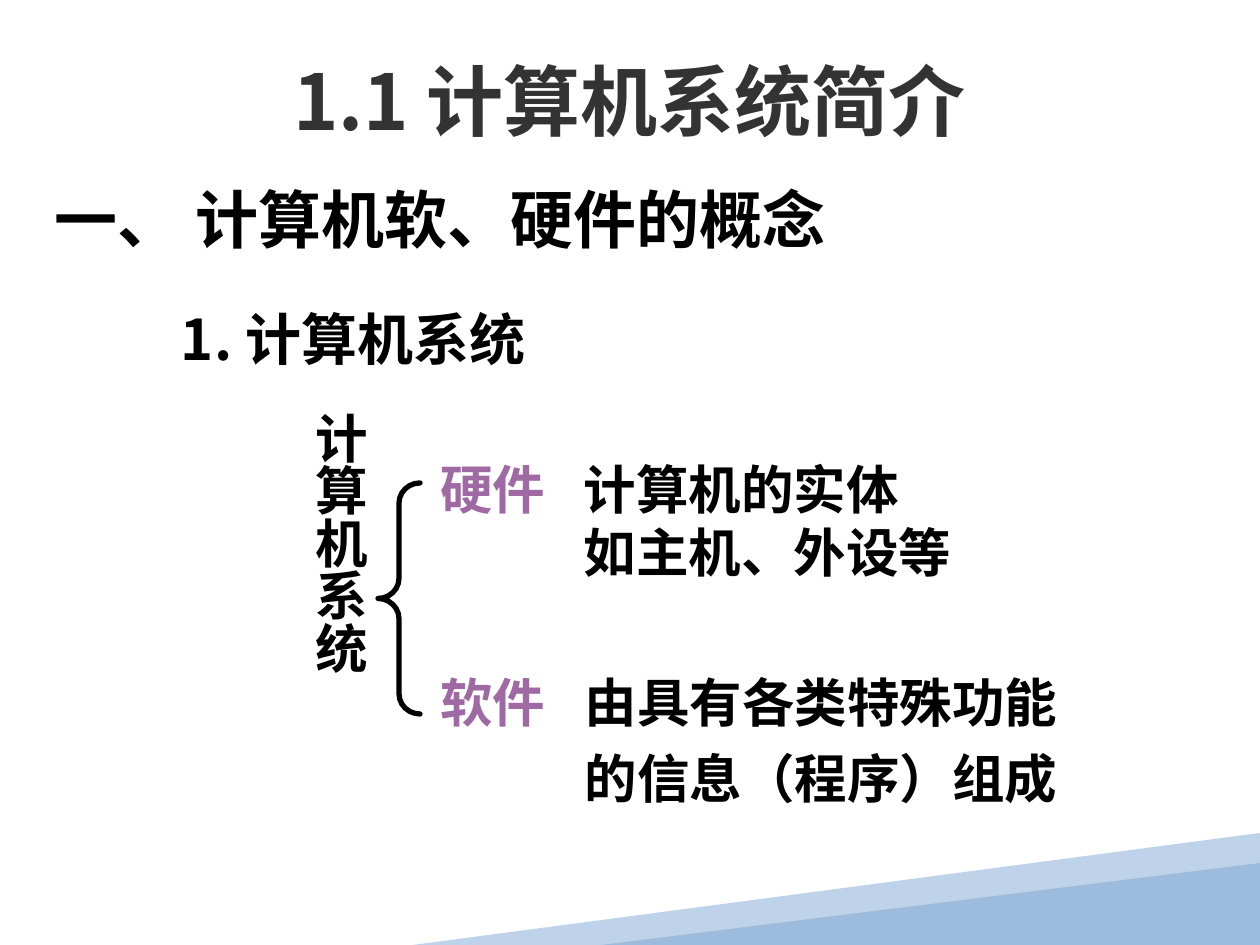
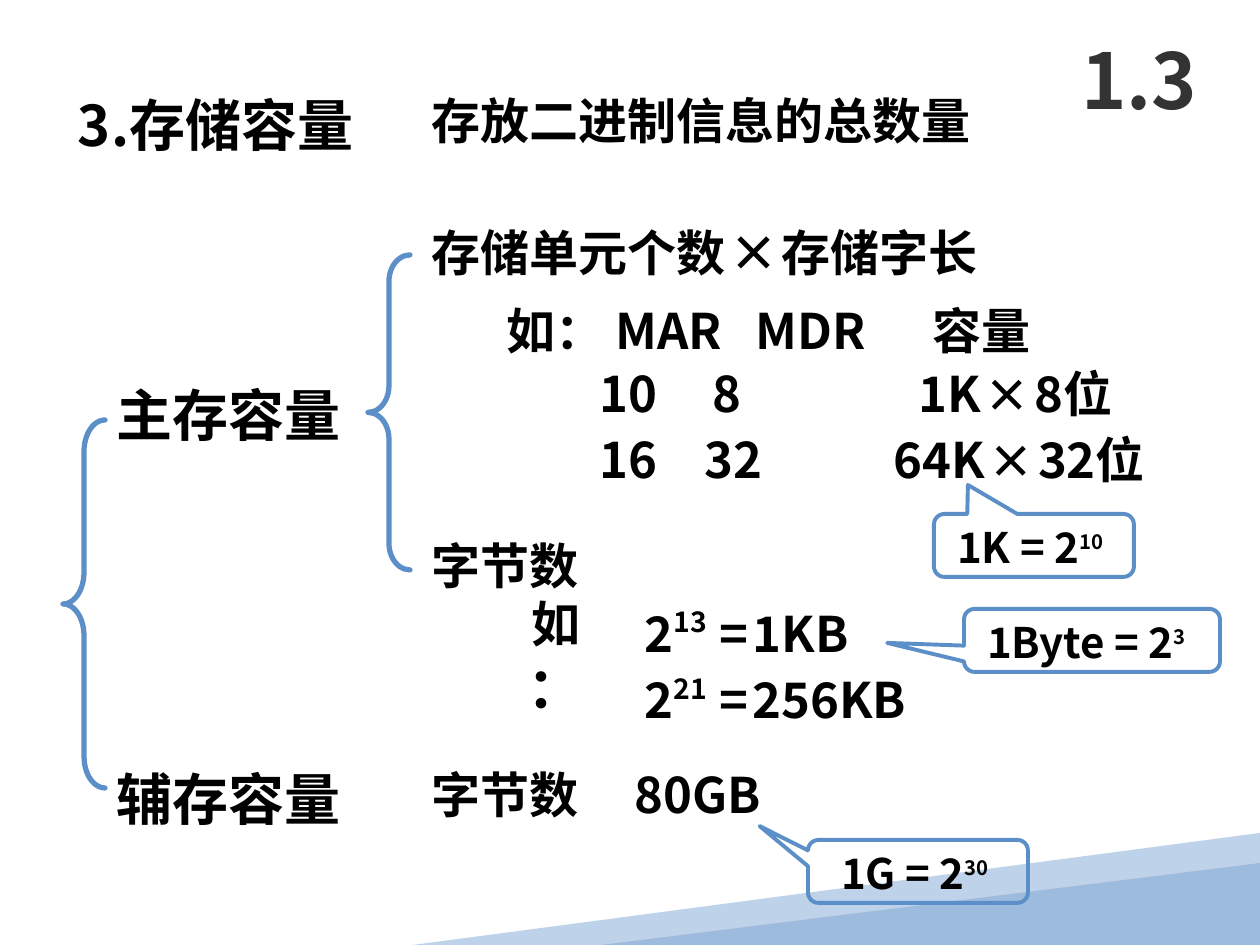
from pptx import Presentation
from pptx.dml.color import RGBColor
from pptx.enum import shapes, text
from pptx.oxml.ns import qn
from pptx.util import Emu, Pt
from lxml import etree

PX = 914400 // 126
FONT = "Noto Sans CJK SC"
BLACK, GREY, PURPLE, BLUE = "000000", "333333", "9F69A3", "5C8FC7"
PALE, SKY = "BED2E9", "9DBCDD"
MID = text.PP_ALIGN.CENTER
KIND = shapes.MSO_SHAPE


def px(n):
    return Emu(n * PX)


def rgb(code):
    return RGBColor.from_string(code)


def paint(shape, fill=None, line=None, width=0):
    shape.shadow.inherit = False
    if fill:
        shape.fill.solid()
        shape.fill.fore_color.rgb = rgb(fill)
    else:
        shape.fill.background()
    if line:
        shape.line.color.rgb = rgb(line)
        shape.line.width = Pt(width)
    else:
        shape.line.fill.background()


def inset(frame, left, top, right, bottom):
    frame.margin_left, frame.margin_top = px(left), px(top)
    frame.margin_right, frame.margin_bottom = px(right), px(bottom)


def add_run(para, words, size, color, base=0):
    run = para.add_run()
    run.text = words
    font = run.font
    font.size, font.bold, font.name = Pt(size), True, FONT
    font.color.rgb = rgb(color)
    props = run._r.get_or_add_rPr()
    etree.SubElement(props, qn("a:ea")).set("typeface", FONT)
    if base:
        props.set("baseline", str(base * 1000))


def add_tabs(para, stops):
    tabs = etree.SubElement(para._p.get_or_add_pPr(), qn("a:tabLst"))
    for stop in stops:
        tab = etree.SubElement(tabs, qn("a:tab"))
        tab.set("pos", str(px(stop)))
        tab.set("algn", "l")


def fill_text(frame, lines, size, color=BLACK, align=None, gap=0, stops=()):
    for i, line in enumerate(lines):
        para = frame.add_paragraph() if i else frame.paragraphs[0]
        para.alignment = align or text.PP_ALIGN.LEFT
        if i and gap:
            para.space_before = Pt(gap)
        if stops:
            add_tabs(para, stops)
        for part in [line] if isinstance(line, str) else line:
            words, *rest = (part,) if isinstance(part, str) else part
            add_run(para, words, rest[0] if rest else size, color, *rest[1:])


def label(slide, box, lines, size, **style):
    frame = slide.shapes.add_textbox(*map(px, box)).text_frame
    frame.word_wrap = True
    inset(frame, 13, 6, 13, 6)
    fill_text(frame, lines, size, **style)
    return frame


def title(slide, box, words):
    frame = label(slide, box, [words], 44, color=GREY, align=MID)
    frame.vertical_anchor = text.MSO_ANCHOR.MIDDLE


def brace(slide, box, bend, color):
    shape = slide.shapes.add_shape(KIND.LEFT_BRACE, *map(px, box))
    shape.adjustments[0] = bend
    paint(shape, line=color, width=3)
    shape.line._get_or_add_ln().set("cap", "rnd")


def callout(slide, box, tip, words, power, left):
    shape = slide.shapes.add_shape(KIND.ROUNDED_RECTANGULAR_CALLOUT, *map(px, box))
    for i, value in enumerate((*tip, 0.167)):
        shape.adjustments[i] = value
    paint(shape, line=BLUE, width=2.25)
    frame = shape.text_frame
    frame.word_wrap = True
    frame.vertical_anchor = text.MSO_ANCHOR.TOP
    inset(frame, left, 4, 0, 0)
    fill_text(frame, [[words, (power, 20, 40)]], 24)


def band(slide, left, top, wide, high):
    pen = slide.shapes.build_freeform(px(left + wide), px(top))
    pen.add_line_segments([
        (px(left + wide), px(top + high - 8)),
        (px(left + 435), px(top + high)),
        (px(left), px(top + high)),
    ])
    paint(pen.convert_to_shape(), PALE)
    wedge = slide.shapes.add_shape(
        KIND.ISOSCELES_TRIANGLE,
        px(left + 188), px(top + 30), px(wide - 188), px(high - 30))
    wedge.adjustments[0] = 1
    paint(wedge, SKY)


def new_slide(deck):
    slide = deck.slides.add_slide(deck.slide_layouts[6])
    band(slide, 413, 833, 847, 112)
    return slide


def parts(slide, left, top):
    frame = label(slide, (left - 1, top, 88, 399), ["计算机系统"], 30, align=MID)
    inset(frame, 6, 13, 6, 13)
    frame._txBody.bodyPr.set("vert", "eaVert")
    brace(slide, (left + 88, top + 84, 42, 231), 0.48, BLACK)
    for name, y in (("硬件", 52), ("软件", 265)):
        label(slide, (left + 137, top + y, 145, 76), [name], 30, color=PURPLE)
    label(slide, (left + 281, top + 52, 420, 139),
          ["计算机的实体", "如主机、外设等"], 30)
    label(slide, (left + 272, top + 265, 518, 152),
          ["由具有各类特殊功能", "的信息（程序）组成"], 30, align=MID, gap=7.5)


def intro(deck):
    slide = new_slide(deck)
    title(slide, (94, 21, 1072, 158), "1.1 计算机系统简介")
    label(slide, (20, 175, 840, 88), ["一、 计算机软、硬件的概念"], 36, align=MID)
    label(slide, (168, 299, 672, 81), ["1. 计算机系统"], 32)
    parts(slide, 290, 399)


def table(slide, left, top):
    label(slide, (left, top, 723, 72), ["如：\tMAR\tMDR\t容量"], 28,
          stops=(109, 249, 426))
    rows = (
        ("10", "8", 113, "1K", "8位", 412, 63),
        ("16", "32", 105, "64K", "32位", 387, 130),
    )
    for mar, mdr, stop, count, word, x, y in rows:
        label(slide, (left + 93, top + y, 290, 72), [f"{mar}\t{mdr}"], 28,
              stops=(stop,))
        label(slide, (left + x, top + y, 294, 72),
              [[count, (" ", 9), ("×", 26), (" ", 9), word]], 28)


def main_mem(slide, left, top):
    label(slide, (left, top, 703, 72),
          [["存储单元个数", (" ", 9), "×", (" ", 9), "存储字长"]], 28)
    table(slide, left + 75, top + 77)
    label(slide, (left, top + 312, 232, 72), ["字节数"], 28)
    label(slide, (left + 84, top + 371, 105, 150), ["如", [("：", 32)]], 28,
          align=MID)
    for power, size, y in (("13", "1KB", 380), ("21", "256KB", 447)):
        label(slide, (left + 213, top + y, 356, 72),
              [["2", (power, 28, 40), "\t=", (" ", 10), size]], 28, stops=(75,))


def volume(deck):
    slide = new_slide(deck)
    title(slide, (1060, 21, 158, 116), "1.3")
    label(slide, (65, 85, 438, 81), ["3.存储容量"], 32)
    label(slide, (419, 85, 703, 72), ["存放二进制信息的总数量"], 28)
    brace(slide, (63, 420, 42, 368), 0.75, BLUE)
    brace(slide, (368, 255, 42, 315), 0.63, BLUE)
    for name, y in (("主存容量", 375), ("辅存容量", 759)):
        label(slide, (104, y, 270, 81), [name], 32)
    main_mem(slide, 419, 217)
    label(slide, (419, 759, 472, 72), ["字节数\t80GB"], 28, stops=(203,))
    notes = (
        ((934, 514, 200, 63), (-0.33, -0.96), "1K = 2", "10", 20),
        ((964, 609, 256, 63), (-0.8, 0.04), "1Byte = 2", "3", 20),
        ((808, 840, 220, 63), (-0.72, -0.72), "1G = 2", "30", 30),
    )
    for note in notes:
        callout(slide, *note)


def main():
    deck = Presentation()
    deck.slide_width, deck.slide_height = px(1260), px(945)
    intro(deck)
    volume(deck)
    deck.save("out.pptx")


if __name__ == "__main__":
    main()
